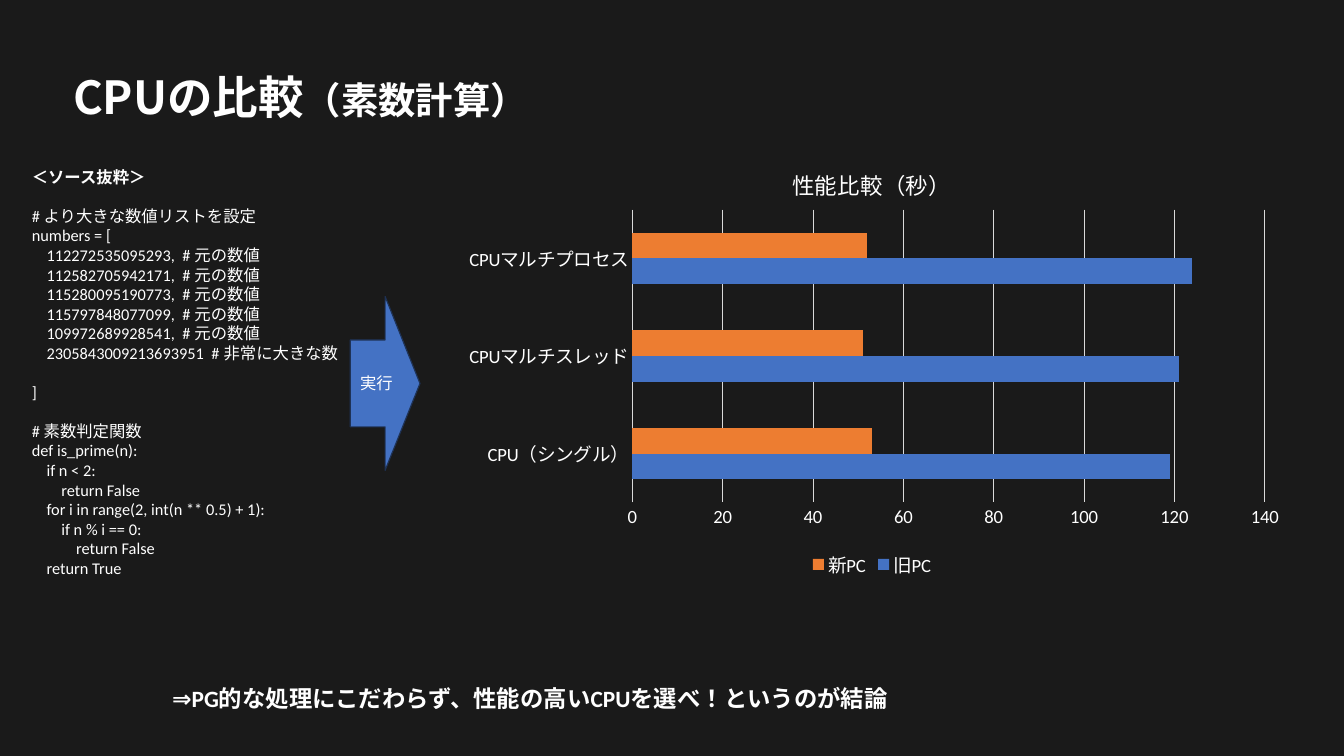
from lxml import etree
from pptx import Presentation
from pptx.chart.data import CategoryChartData
from pptx.dml.color import RGBColor
from pptx.enum.chart import XL_CHART_TYPE as ChartType, XL_LEGEND_POSITION as LegendPosition, XL_TICK_MARK as TickMark
from pptx.enum.lang import MSO_LANGUAGE_ID as Language
from pptx.enum.shapes import MSO_SHAPE as Shape
from pptx.enum.text import MSO_ANCHOR as Anchor, PP_ALIGN as Align
from pptx.oxml import parse_xml
from pptx.oxml.ns import qn
from pptx.util import Inches, Pt

WHITE = RGBColor(0xFF, 0xFF, 0xFF)
BACKDROP = RGBColor(0x1A, 0x1A, 0x1A)
BLUE = RGBColor(0x44, 0x72, 0xC4)
ORANGE = RGBColor(0xED, 0x7D, 0x31)
ARROW_EDGE = RGBColor(0x1E, 0x32, 0x56)
GRID = RGBColor(0xD9, 0xD9, 0xD9)
JAPANESE = "Noto Sans CJK JP"
CODE = """# より大きな数値リストを設定
numbers = [
    112272535095293,  # 元の数値
    112582705942171,  # 元の数値
    115280095190773,  # 元の数値
    115797848077099,  # 元の数値
    109972689928541,  # 元の数値
    2305843009213693951  # 非常に大きな数

]

# 素数判定関数
def is_prime(n):
    if n < 2:
        return False
    for i in range(2, int(n ** 0.5) + 1):
        if n % i == 0:
            return False
    return True"""


def style_font(font, size, bold=False, name="Calibri"):
    font.name = name
    font.size = Pt(size)
    font.bold = bold
    font.color.rgb = WHITE
    font.language_id = Language.JAPANESE
    east_asian = etree.Element(qn("a:ea"), typeface=JAPANESE)
    font._element.find(qn("a:latin")).addnext(east_asian)


def add_text(left, top, width, height):
    box = page.shapes.add_textbox(Inches(left), Inches(top), Inches(width), Inches(height))
    box.text_frame.word_wrap = True
    return box.text_frame


deck = Presentation()
deck.slide_width, deck.slide_height = Inches(16), Inches(9)
page = deck.slides.add_slide(deck.slide_layouts[5])
page.background.fill.solid()
page.background.fill.fore_color.rgb = BACKDROP

title = page.shapes.title
title.left, title.top, title.width, title.height = Inches(0.87), Inches(0.8), Inches(6.5), Inches(0.68)
frame = title.text_frame
frame.margin_left = frame.margin_top = frame.margin_right = frame.margin_bottom = 0
frame.word_wrap = True
frame.vertical_anchor = Anchor.TOP
para = frame.paragraphs[0]
para.alignment = Align.LEFT
para.line_spacing = Pt(48.5)
for text, size in (("CPUの比較", 39), ("（素数計算）", 32)):
    span = para.add_run()
    span.text = text
    style_font(span.font, size, True, JAPANESE)

data = CategoryChartData()
data.categories = ["CPU（シングル）", "CPUマルチスレッド", "CPUマルチプロセス"]
data.add_series("旧PC", (119, 121, 124))
data.add_series("新PC", (53, 51, 52))
chart = page.shapes.add_chart(
    ChartType.BAR_CLUSTERED, Inches(5.34), Inches(1.77), Inches(10.08), Inches(5.15), data
).chart
style_font(chart.font, 16)
chart.has_title = True
chart.chart_title.include_in_layout = False
para = chart.chart_title.text_frame.paragraphs[0]
span = para.add_run()
span.text = "性能比較（秒）"
style_font(span.font, 19.2)
chart.has_legend = True
chart.legend.position = LegendPosition.BOTTOM
chart.legend.include_in_layout = False
style_font(chart.legend.font, 16)

plot = chart.plots[0]
plot.gap_width = 182
plot.overlap = 0
plot.vary_by_categories = False
for series, color in zip(plot.series, (BLUE, ORANGE)):
    series.format.fill.solid()
    series.format.fill.fore_color.rgb = color

for axis in (chart.category_axis, chart.value_axis):
    axis.major_tick_mark = axis.minor_tick_mark = TickMark.NONE
    style_font(axis.tick_labels.font, 16)
chart.value_axis.minimum_scale = 0
chart.value_axis.maximum_scale = 140
chart.value_axis.major_unit = 20
chart.value_axis.format.line.fill.background()
for line in (chart.category_axis.format.line, chart.value_axis.major_gridlines.format.line):
    line.color.rgb = GRID
    line.width = Pt(0.75)

places = {"xMode": "edge", "yMode": "edge", "x": 0.217, "y": 0.141, "w": 0.747, "h": 0.677}
settings = "".join(f'<c:{key} val="{value}"/>' for key, value in places.items())
layout = parse_xml(
    '<c:layout xmlns:c="http://schemas.openxmlformats.org/drawingml/2006/chart">'
    f'<c:manualLayout><c:layoutTarget val="inner"/>{settings}</c:manualLayout></c:layout>'
)
plot_area = chart._chartSpace.chart.plotArea
for old_layout in plot_area.findall(qn("c:layout")):
    plot_area.remove(old_layout)
plot_area.insert(0, layout)

frame = add_text(0.28, 1.94, 4.88, 5.05)
para = frame.paragraphs[0]
para.text = "＜ソース抜粋＞"
style_font(para.font, 14, True)
for block in CODE.split("\n\n"):
    for index, line in enumerate(block.split("\n")):
        para = frame.add_paragraph()
        para.text = line
        if index == 0:
            para.space_before = Pt(16.5)
        style_font(para.font, 14)

para = add_text(1.95, 8.09, 11.09, 0.44).paragraphs[0]
para.text = "⇒PG的な処理にこだわらず、性能の高いCPUを選べ！というのが結論"
style_font(para.font, 20, True)

arrow = page.shapes.add_shape(Shape.RIGHT_ARROW, Inches(4.17), Inches(3.53), Inches(0.83), Inches(2.07))
arrow.shadow.inherit = False
arrow.fill.solid()
arrow.fill.fore_color.rgb = BLUE
arrow.line.color.rgb = ARROW_EDGE
arrow.line.width = Pt(1)
arrow.text_frame.vertical_anchor = Anchor.MIDDLE
para = arrow.text_frame.paragraphs[0]
para.text = "実行"
para.alignment = Align.CENTER
style_font(para.font, 14)

deck.save("out.pptx")
